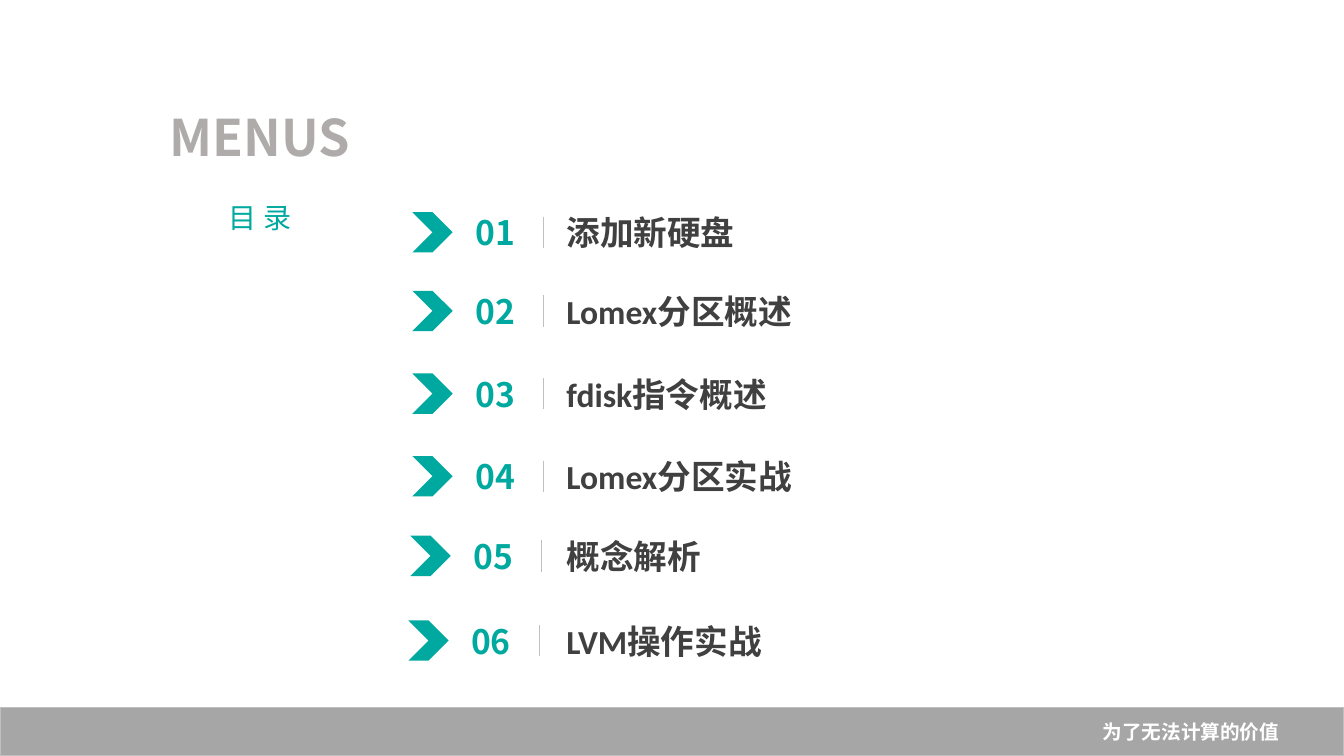
from pptx import Presentation
from pptx.enum import lang, shapes, text
from pptx.oxml import ns
from pptx.util import Inches, Pt
from pptx.dml.color import RGBColor
from lxml import etree

# Content: entry, top of its row, left of its number
ENTRIES = [
    ("添加新硬盘", 1.91, 4.49),
    ("Lomex分区概述", 2.69, 4.49),
    ("fdisk指令概述", 3.51, 4.49),
    ("Lomex分区实战", 4.33, 4.49),
    ("概念解析", 5.12, 4.47),
    ("LVM操作实战", 5.96, 4.45),
]
HEADING = "MENUS"
TITLE = "目 录"
SLOGAN = "为了无法计算的价值"

COLORS = {
    "teal": "00A99F", "heading": "AFABAB", "entry": "404040",
    "divider": "C0C0C0", "footer": "A6A6A6", "footer_edge": "BFBFBF",
    "white": "FFFFFF",
}
LATIN, CJK = "Calibri", "Noto Sans CJK SC"
ROW_HEIGHT = 0.79
CHEVRON_SIZE = 0.4
DIVIDER_LENGTH = 0.31


def color(name):
    return RGBColor.from_string(COLORS[name])


def write(shape, words, size, font, tone, align, bold=True):
    frame = shape.text_frame
    frame.word_wrap = True
    frame.auto_size = text.MSO_AUTO_SIZE.NONE
    frame.vertical_anchor = text.MSO_ANCHOR.MIDDLE
    para = frame.paragraphs[0]
    para.alignment = align
    span = para.add_run()
    span.text = words
    span.font.size = Pt(size)
    span.font.name = font
    span.font.bold = bold
    span.font.color.rgb = color(tone)
    span.font.language_id = lang.MSO_LANGUAGE_ID.SIMPLIFIED_CHINESE
    east_asian = etree.SubElement(span.font._element, ns.qn("a:ea"))
    east_asian.set("typeface", CJK)
    return para


def add_text(page, area, *style):
    write(page.shapes.add_textbox(*map(Inches, area)), *style)


def add_block(page, kind, area, fill):
    block = page.shapes.add_shape(kind, *map(Inches, area))
    block.shadow.inherit = False
    block.fill.solid()
    block.fill.fore_color.rgb = color(fill)
    block.line.fill.background()
    return block


def add_divider(page, left, top):
    divider = page.shapes.add_connector(
        shapes.MSO_CONNECTOR.STRAIGHT, Inches(left), Inches(top),
        Inches(left), Inches(top + DIVIDER_LENGTH))
    divider.line.color.rgb = color("divider")
    divider.line.width = Pt(0.5)
    etree.SubElement(divider._element.spPr, ns.qn("a:effectLst"))


def add_entry(page, number, words, top, left):
    middle = top + ROW_HEIGHT / 2
    add_block(page, shapes.MSO_SHAPE.CHEVRON,
              (left - 0.4, middle - CHEVRON_SIZE / 2, CHEVRON_SIZE, CHEVRON_SIZE), "teal")
    add_text(page, (left, top, 0.84, ROW_HEIGHT),
             f"{number:02d}", 24, CJK, "teal", text.PP_ALIGN.CENTER)
    add_divider(page, left + 0.9, middle - DIVIDER_LENGTH / 2)
    add_text(page, (5.52, top, 4.38, ROW_HEIGHT),
             words, 24, LATIN, "entry", text.PP_ALIGN.LEFT)


def main():
    deck = Presentation()
    deck.slide_width, deck.slide_height = Inches(13.33), Inches(7.5)
    page = deck.slides.add_slide(deck.slide_layouts[5])

    # Heading and title
    add_text(page, (0.75, 0.93, 3.66, 0.84),
             HEADING, 36, CJK, "heading", text.PP_ALIGN.CENTER)
    title = page.shapes.title
    title.left, title.top, title.width, title.height = map(Inches, (1.54, 1.7, 2.08, 0.95))
    para = write(title, TITLE, 20, CJK, "teal", text.PP_ALIGN.CENTER, bold=False)
    para.line_spacing = 0.9

    # Menu entries
    for number, entry in enumerate(ENTRIES, 1):
        add_entry(page, number, *entry)

    # Footer bar with slogan
    footer = add_block(page, shapes.MSO_SHAPE.RECTANGLE, (0, 7.02, 13.33, 0.48), "footer")
    footer.line.color.rgb = color("footer_edge")
    footer.line.width = Pt(1)
    footer.text_frame.margin_right = Inches(0.64)
    write(footer, SLOGAN, 14, LATIN, "white", text.PP_ALIGN.RIGHT)

    deck.save("out.pptx")


if __name__ == "__main__":
    main()
